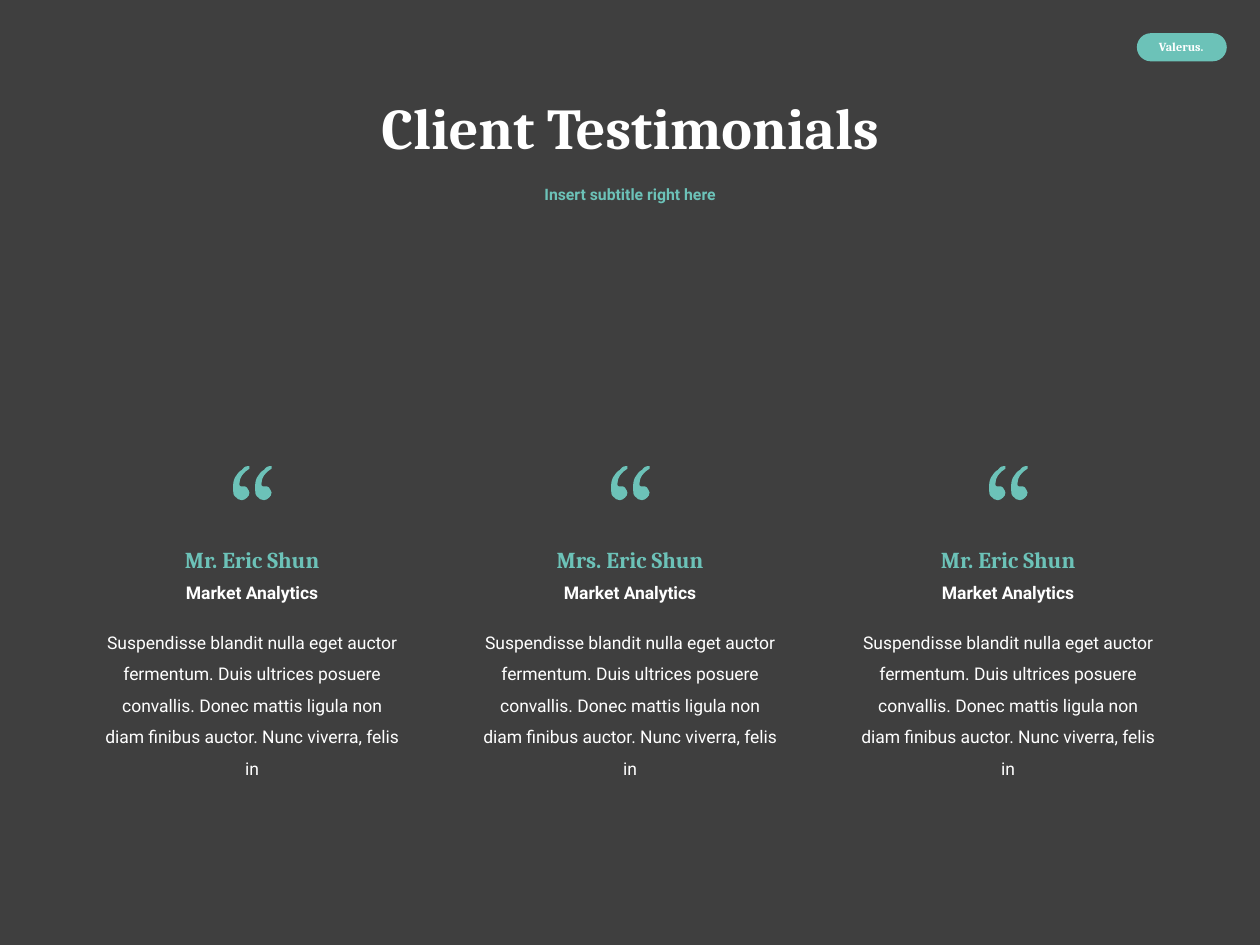
from lxml.etree import SubElement
from pptx import Presentation
from pptx.dml.color import RGBColor
from pptx.enum.shapes import MSO_SHAPE
from pptx.enum.text import MSO_ANCHOR, MSO_AUTO_SIZE, PP_ALIGN
from pptx.oxml.ns import qn
from pptx.util import Inches, Pt

TEAL, WHITE, CHARCOAL = "6CC2B8", "FFFFFF", "3F3F3F"
SERIF, SANS = "Cambria", "Roboto"
SLIDE_WIDTH, SLIDE_HEIGHT = 10, 7.5

TITLE = "Client Testimonials"
SUBTITLE = "Insert subtitle right here"
HEADING_WIDTH = 5.63
BADGE = "Valerus."
QUOTE = (
    "Suspendisse blandit nulla eget auctor fermentum. Duis ultrices posuere "
    "convallis. Donec mattis ligula non diam finibus auctor. Nunc viverra, felis in"
)
TESTIMONIALS = [
    ("Mr. Eric Shun", "Market Analytics", QUOTE),
    ("Mrs. Eric Shun", "Market Analytics", QUOTE),
    ("Mr. Eric Shun", "Market Analytics", QUOTE),
]
COLUMN_STYLES = [
    (4.28, 1.82, 0.32, SERIF, 13, TEAL, True, 1.0),
    (4.57, 1.52, 0.27, SANS, 10, WHITE, True, 1.0),
    (4.88, 2.59, 1.35, SANS, 10, WHITE, False, 1.5),
]
FIRST_CENTER, COLUMN_PITCH = 2.0, 3.0

MARK_TOP, MARK_INSET = 3.7, 0.15
MARK_UNIT = Inches(1) / 1000
COMMA_OFFSETS = (0, 175)
COMMA_START = (130, 20)
COMMA_CURVES = [
    ((80, 50), (50, 90), (50, 140)),
    ((50, 150), (50, 160), (60, 160)),
    ((70, 160), (70, 160), (75, 160)),
    ((90, 160), (100, 160), (110, 170)),
    ((120, 190), (130, 200), (130, 210)),
    ((130, 230), (120, 240), (110, 250)),
    ((100, 260), (85, 270), (70, 270)),
    ((50, 270), (30, 260), (15, 240)),
    ((0, 230), (0, 200), (0, 180)),
    ((0, 140), (0, 120), (15, 90)),
    ((30, 70), (45, 40), (70, 30)),
    ((90, 0), (110, 0), (115, 0)),
    ((120, 0), (120, 0), (130, 0)),
    ((130, 10), (130, 10), (130, 10)),
]


def color(value):
    """Return the colour for a hex string."""
    return RGBColor.from_string(value)


def fill_shape(shape, value):
    """Give a shape a plain fill without shadow."""
    shape.shadow.inherit = False
    shape.fill.solid()
    shape.fill.fore_color.rgb = color(value)


def write_text(shape, text, font_name, size, value, bold=True, spacing=1.0,
               anchor=MSO_ANCHOR.TOP):
    """Write one centred, formatted paragraph into a shape."""
    frame = shape.text_frame
    frame.word_wrap = True
    frame.vertical_anchor = anchor
    paragraph = frame.paragraphs[0]
    paragraph.alignment = PP_ALIGN.CENTER
    paragraph.line_spacing = spacing
    paragraph.space_before = Pt(0)
    run = paragraph.add_run()
    run.text = text
    run.font.name = font_name
    run.font.size = Pt(size)
    run.font.bold = bold
    run.font.color.rgb = color(value)


def add_text(slide, box, *style, **options):
    """Add a text box at the given left, top, width and height."""
    shape = slide.shapes.add_textbox(*map(Inches, box))
    write_text(shape, *style, **options)
    return shape


def add_quotation_mark(slide, left):
    """Draw both commas as one freeform with curved edges."""
    first_x, first_y = COMMA_START
    builder = slide.shapes.build_freeform(first_x, first_y, scale=MARK_UNIT)
    curves = []
    for offset in COMMA_OFFSETS:
        shifted = [[(x + offset, y) for x, y in curve] for curve in COMMA_CURVES]
        if offset:
            builder.move_to(first_x + offset, first_y)
        builder.add_line_segments([curve[-1] for curve in shifted])
        curves += shifted
    mark = builder.convert_to_shape(Inches(left), Inches(MARK_TOP))
    segments = list(mark.element.iter(qn("a:lnTo")))
    for segment, curve in zip(segments, curves):
        segment.tag = qn("a:cubicBezTo")
        segment.clear()
        for x, y in curve:
            SubElement(segment, qn("a:pt"), x=str(x), y=str(y))
    fill_shape(mark, TEAL)
    mark.line.fill.background()


def main():
    """Build the testimonials slide."""
    presentation = Presentation()
    presentation.slide_width = Inches(SLIDE_WIDTH)
    presentation.slide_height = Inches(SLIDE_HEIGHT)
    slide = presentation.slides.add_slide(presentation.slide_layouts[5])
    slide.background.fill.solid()
    slide.background.fill.fore_color.rgb = color(CHARCOAL)

    badge = slide.shapes.add_shape(
        MSO_SHAPE.ROUNDED_RECTANGLE, *map(Inches, (9.03, 0.27, 0.7, 0.21)))
    badge.adjustments[0] = 0.5
    fill_shape(badge, TEAL)
    badge.line.color.rgb = color(TEAL)
    badge.line.width = Pt(1)
    add_text(slide, (9.06, 0.26, 0.63, 0.22), BADGE, SERIF, 7, WHITE)

    heading_left = (SLIDE_WIDTH - HEADING_WIDTH) / 2
    title = slide.shapes.title
    title.left, title.top, title.width, title.height = map(
        Inches, (heading_left, 0.52, HEADING_WIDTH, 1.03))
    write_text(title, TITLE, SERIF, 33, WHITE, spacing=0.9, anchor=MSO_ANCHOR.MIDDLE)
    add_text(slide, (heading_left, 1.36, HEADING_WIDTH, 0.38), SUBTITLE, SANS, 9, TEAL,
             spacing=0.9, anchor=MSO_ANCHOR.MIDDLE)

    for column, testimonial in enumerate(TESTIMONIALS):
        center = FIRST_CENTER + column * COLUMN_PITCH
        for text, (top, width, height, *style) in zip(testimonial, COLUMN_STYLES):
            box = (center - width / 2, top, width, height)
            shape = add_text(slide, box, text, *style)
            shape.text_frame.auto_size = MSO_AUTO_SIZE.SHAPE_TO_FIT_TEXT
        add_quotation_mark(slide, center - MARK_INSET)

    presentation.save("out.pptx")


if __name__ == "__main__":
    main()
